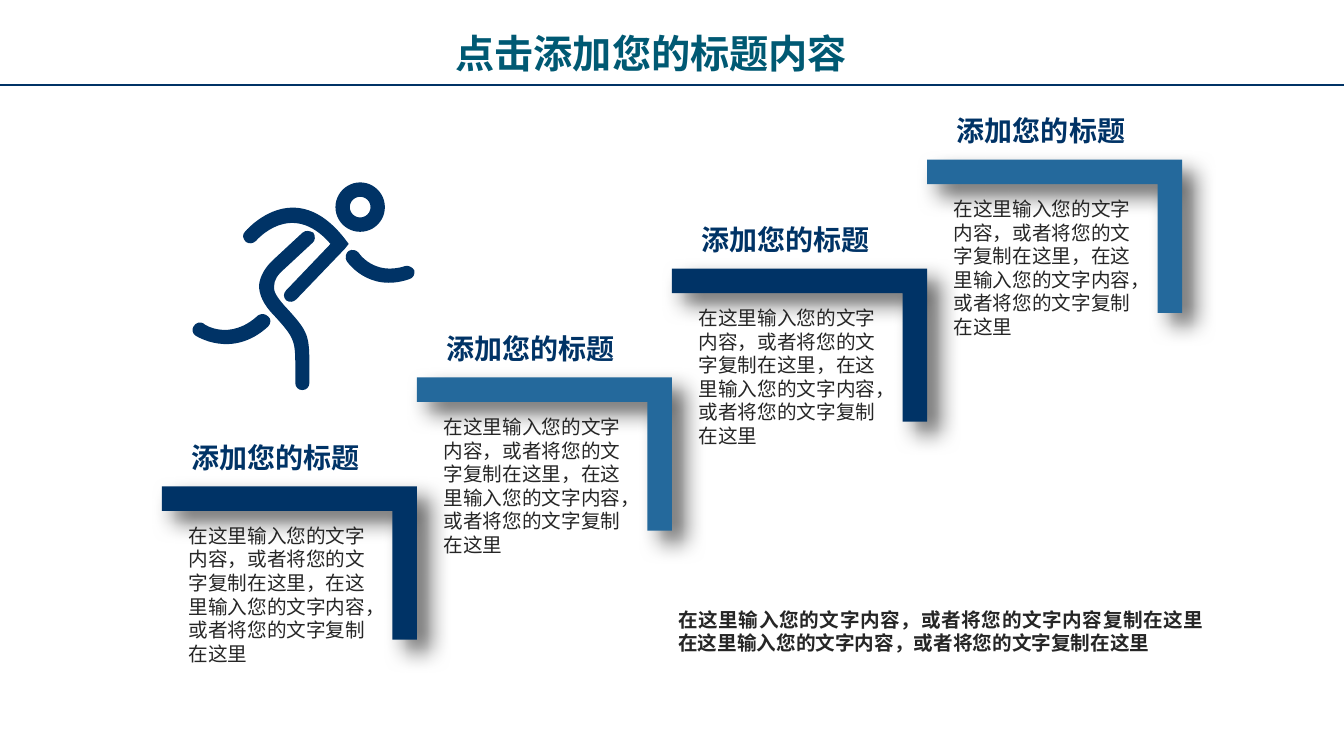
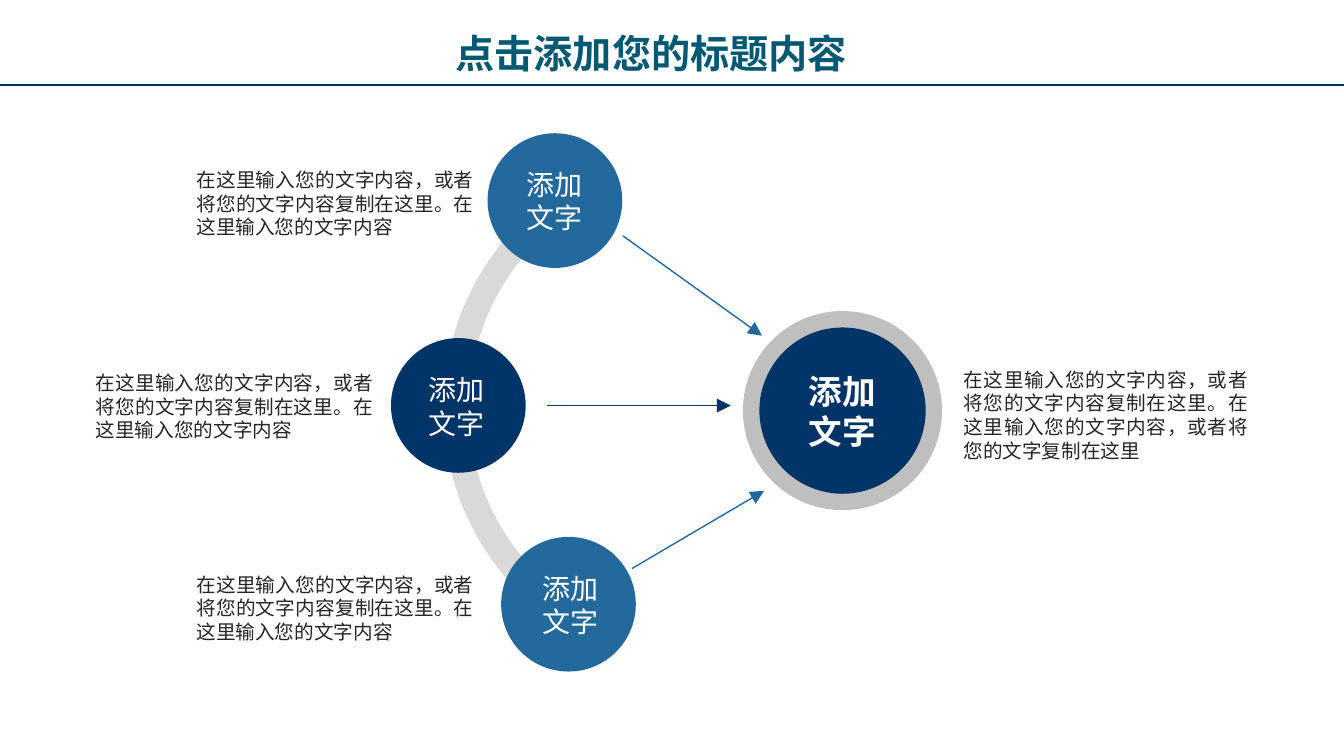
from dataclasses import dataclass

from lxml import etree
from pptx import Presentation
from pptx.dml.color import RGBColor
from pptx.enum.shapes import MSO_CONNECTOR, MSO_SHAPE
from pptx.enum.text import MSO_ANCHOR, MSO_AUTO_SIZE, PP_ALIGN
from pptx.oxml.ns import qn
from pptx.util import Pt

LEFT, CENTER, JUSTIFY = PP_ALIGN.LEFT, PP_ALIGN.CENTER, PP_ALIGN.JUSTIFY
TOP = MSO_ANCHOR.TOP
CORNER, DONUT, OVAL = MSO_SHAPE.CORNER, MSO_SHAPE.DONUT, MSO_SHAPE.OVAL
STRAIGHT = MSO_CONNECTOR.STRAIGHT
NO_AUTOFIT = MSO_AUTO_SIZE.NONE
TITLE_ONLY = 5


@dataclass(frozen=True)
class Theme:
    font: str = "Noto Sans CJK SC"
    title: str = "005973"
    navy: str = "003366"
    blue: str = "24699C"
    ink: str = "262626"
    white: str = "FFFFFF"
    arc: str = "D9D9D9"
    ring: str = "BFBFBF"
    title_size: float = 28
    hub_size: float = 24
    heading_size: float = 20
    body_size: float = 14
    leading: float = 1.2


THEME = Theme()
WIDTH, HEIGHT = 960, 540
GRID = 0.72

TITLE = "点击添加您的标题内容"
HEADING = "添加您的标题"
LABEL = "添加\n文字"
STEP_TEXT = "在这里输入您的文字内容，或者将您的文字复制在这里，在这里输入您的文字内容，或者将您的文字复制在这里"
SUMMARY = "在这里输入您的文字内容，或者将您的文字内容复制在这里在这里输入您的文字内容，或者将您的文字复制在这里"
SPOKE_TEXT = "在这里输入您的文字内容，或者将您的文字内容复制在这里。在这里输入您的文字内容"
HUB_TEXT = SPOKE_TEXT + "，或者将您的文字复制在这里"

RUNNER_LIMBS = [
    [(254, 239), (251, 242, 247, 242, 244, 240), (241, 237, 240, 233, 243, 230),
     (243, 230, 292, 171, 343, 238), (346, 242), (342, 247), (294, 297),
     (291, 300, 287, 300, 284, 298), (281, 295, 281, 291, 284, 288),
     (328, 242), (289, 197, 254, 239, 254, 239)],
    [(300, 231), (303, 228, 308, 229, 311, 231), (313, 234, 313, 239, 310, 241),
     (282, 267), (275, 273, 272, 278, 272, 284), (271, 289, 275, 295, 282, 303),
     (307, 330, 307, 332, 307, 367), (307, 369, 307, 372, 307, 380),
     (307, 384, 304, 387, 300, 387), (296, 387, 293, 384, 293, 380),
     (293, 379, 293, 373, 293, 367), (293, 338, 293, 336, 272, 313),
     (261, 302, 257, 292, 257, 283), (258, 274, 263, 265, 272, 257), (300, 231)],
    [(194, 333), (191, 331, 190, 327, 192, 324), (194, 320, 199, 319, 202, 321),
     (202, 322, 228, 339, 256, 313), (259, 311, 263, 311, 266, 314),
     (269, 316, 269, 321, 266, 324), (230, 357, 194, 333, 194, 333)],
    [(344, 259), (342, 256, 343, 251, 346, 249), (349, 247, 354, 248, 356, 251),
     (356, 251, 371, 274, 402, 264), (405, 263, 409, 265, 411, 268),
     (412, 272, 410, 276, 406, 277), (365, 291, 344, 259, 344, 259)],
]
ARC_OUTLINE = [
    (581, 202), (512, 243, 465, 318, 465, 405), (465, 489, 510, 563, 577, 604),
    (565, 627), (490, 581, 440, 499, 440, 405), (440, 309, 492, 225, 569, 180),
    (581, 202),
]


def apply_format(target, values):
    for name, value in values.items():
        setattr(target, name, value)


def place(shape, left, top, width, height):
    apply_format(shape, {"left": Pt(left), "top": Pt(top),
                         "width": Pt(width), "height": Pt(height)})


def write_text(shape, text, size, color, bold=False, align=LEFT):
    frame = shape.text_frame
    apply_format(frame, {
        "text": text, "word_wrap": True, "auto_size": NO_AUTOFIT,
        "vertical_anchor": TOP,
        "margin_left": Pt(7.2), "margin_right": Pt(7.2),
        "margin_top": Pt(3.6), "margin_bottom": Pt(3.6),
    })
    for paragraph in frame.paragraphs:
        apply_format(paragraph, {"alignment": align,
                                 "line_spacing": Pt(size * THEME.leading)})
        for run in paragraph.runs:
            apply_format(run.font, {"name": THEME.font, "size": Pt(size), "bold": bold})
            run.font.color.rgb = RGBColor.from_string(color)
            etree.SubElement(run.font._rPr, qn("a:ea"), typeface=THEME.font)


def add_text(slide, box, text, size, color, **options):
    shape = slide.shapes.add_textbox(*map(Pt, box))
    write_text(shape, text, size, color, **options)


def paint(shape, color):
    shape.shadow.inherit = False
    shape.fill.solid()
    shape.fill.fore_color.rgb = RGBColor.from_string(color)
    shape.line.fill.background()


def add_filled_shape(slide, preset, box, color):
    shape = slide.shapes.add_shape(preset, *map(Pt, box))
    paint(shape, color)
    return shape


def add_circle(slide, center, diameter, color):
    x, y = center
    box = (x - diameter / 2, y - diameter / 2, diameter, diameter)
    add_filled_shape(slide, OVAL, box, color)


def bend_segments(shape, segments):
    lines = iter(list(shape._element.iter(qn("a:lnTo"))))
    for segment in segments:
        first, *others = [next(lines) for _ in range(len(segment) // 2)]
        if others:
            curve = etree.Element(qn("a:cubicBezTo"))
            first.addprevious(curve)
            for line in (first, *others):
                curve.append(line[0])
                line.getparent().remove(line)


def add_outline(slide, segments, color):
    points = [(Pt(segment[i] * GRID), Pt(segment[i + 1] * GRID))
              for segment in segments for i in range(0, len(segment), 2)]
    builder = slide.shapes.build_freeform(*points[0])
    builder.add_line_segments(points[1:], close=True)
    shape = builder.convert_to_shape()
    bend_segments(shape, segments[1:])
    paint(shape, color)


def add_line(slide, start, end, color, width, arrow=False):
    connector = slide.shapes.add_connector(STRAIGHT, *map(Pt, start + end))
    connector.line.color.rgb = RGBColor.from_string(color)
    connector.line.width = Pt(width)
    if arrow:
        etree.SubElement(connector.line._get_or_add_ln(), qn("a:tailEnd"),
                         type="triangle", w="lg", len="lg")
    etree.SubElement(connector._element.spPr, qn("a:effectLst"))


def add_soft_shadow(shape):
    effects = shape._element.spPr.find(qn("a:effectLst"))
    shadow = etree.SubElement(
        effects, qn("a:outerShdw"), blurRad=str(Pt(16)), dist=str(Pt(12)),
        dir=str(45 * 60000), algn="tl", rotWithShape="0")
    color = etree.SubElement(shadow, qn("a:srgbClr"), val="000000")
    etree.SubElement(color, qn("a:alpha"), val="60000")


def add_titled_slide(presentation):
    slide = presentation.slides.add_slide(presentation.slide_layouts[TITLE_ONLY])
    add_line(slide, (0, 61), (WIDTH, 61), THEME.navy, 1.5)
    place(slide.shapes.title, 318.2, 17.3, 324, 41)
    write_text(slide.shapes.title, TITLE, THEME.title_size, THEME.title, bold=True)
    return slide


def add_step(slide, left, top, width, color):
    bracket = add_filled_shape(slide, CORNER, (left, top, width, 109.4), color)
    bracket.rotation = 180
    for index in range(2):
        bracket.adjustments[index] = 0.16
    add_soft_shadow(bracket)
    add_text(slide, (left + 12, top + 23.2, 147, 108.7), STEP_TEXT,
             THEME.body_size, THEME.ink)
    add_text(slide, (left + 14.2, top - 36.5, 168, 31.7), HEADING,
             THEME.heading_size, THEME.navy, bold=True)


def add_runner(slide):
    head = add_filled_shape(slide, DONUT, (239.6, 130.3, 35.3, 35.3), THEME.navy)
    head.adjustments[0] = 0.29
    for limb in RUNNER_LIMBS:
        add_outline(slide, limb, THEME.navy)


def build_stairs_slide(presentation):
    slide = add_titled_slide(presentation)
    step_width, rise = 182.2, 77.8
    for index in range(4):
        color = THEME.blue if index % 2 else THEME.navy
        add_step(slide, 115.6 + index * step_width, 347.4 - index * rise,
                 step_width, color)
    add_runner(slide)
    add_text(slide, (477.4, 430.6, 389.5, 41), SUMMARY, THEME.body_size, THEME.ink,
             bold=True, align=JUSTIFY)


def build_hub_slide(presentation):
    slide = add_titled_slide(presentation)
    add_outline(slide, ARC_OUTLINE, THEME.arc)
    spokes = [
        ((396.4, 143.3), (365.8, 115.9), (445, 168.5), (544.3, 239.8),
         (133.2, 116.6), THEME.blue),
        ((327.4, 289.6), (295.2, 262.8), (391, 289.7), (522, 289.7),
         (61.2, 261.4), THEME.navy),
        ((406.1, 431.6), (376.6, 404.6), (451.4, 406.1), (545.8, 350.6),
         (133.2, 405.4), THEME.blue),
    ]
    for center, label_corner, arrow_start, arrow_end, text_corner, color in spokes:
        add_circle(slide, center, 96.2, color)
        add_text(slide, label_corner + (61.2, 55.4), LABEL,
                 THEME.heading_size, THEME.white, align=CENTER)
        add_line(slide, arrow_start, arrow_end, color, 1, arrow=True)
        add_text(slide, text_corner + (212.4, 58.3), SPOKE_TEXT,
                 THEME.body_size, THEME.ink, align=JUSTIFY)
    hub_center = (601.8, 293.3)
    add_circle(slide, hub_center, 142.2, THEME.ring)
    add_circle(slide, hub_center, 118.8, THEME.navy)
    add_text(slide, (562.3, 261.4, 78.5, 65.5), LABEL, THEME.hub_size, THEME.white,
             bold=True, align=CENTER)
    add_text(slide, (681.1, 259.2, 217.4, 75), HUB_TEXT, THEME.body_size, THEME.ink,
             align=JUSTIFY)


def main():
    presentation = Presentation()
    apply_format(presentation, {"slide_width": Pt(WIDTH), "slide_height": Pt(HEIGHT)})
    build_stairs_slide(presentation)
    build_hub_slide(presentation)
    presentation.save("out.pptx")


if __name__ == "__main__":
    main()
